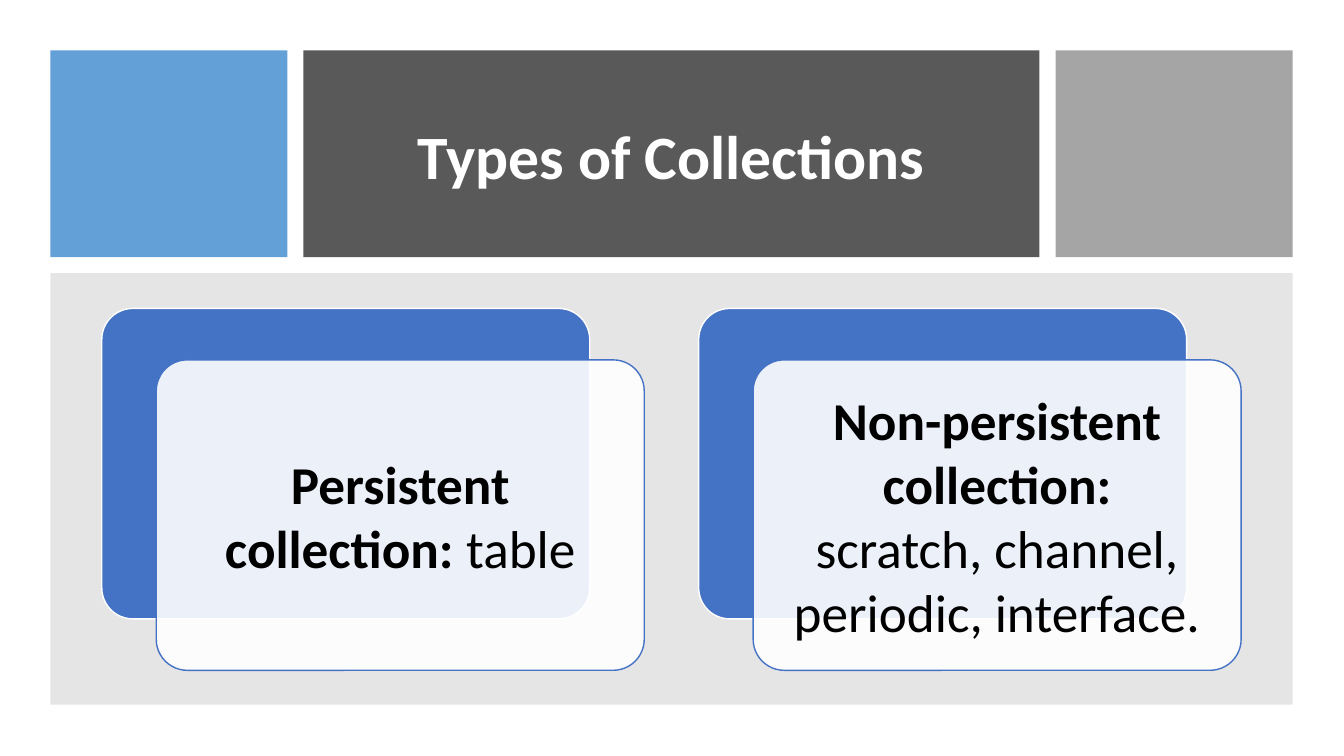
from lxml.etree import SubElement
from pptx import Presentation
from pptx.dml.color import RGBColor
from pptx.enum.shapes import MSO_SHAPE
from pptx.enum.text import MSO_ANCHOR, MSO_AUTO_SIZE, PP_ALIGN
from pptx.oxml.ns import qn
from pptx.util import Pt

EMU_PER_PX = 9144
NO_BREAK_SPACE = chr(160)


def px(length):
    """Turn whole pixels, 100 to the inch, into EMU."""
    return length * EMU_PER_PX


def paint(color_format, color):
    """Give a colour format an RGB hex colour."""
    color_format.rgb = RGBColor.from_string(color)


def add_box(slide, left, top, width, height, fill, opacity=100, line=None, rounded=False):
    """Add a rectangle with optional transparency, outline and round corners."""
    kind = MSO_SHAPE.ROUNDED_RECTANGLE if rounded else MSO_SHAPE.RECTANGLE
    shape = slide.shapes.add_shape(kind, px(left), px(top), px(width), px(height))
    shape.shadow.inherit = False
    if rounded:
        shape.adjustments[0] = 0.1
    shape.fill.solid()
    paint(shape.fill.fore_color, fill)
    if opacity < 100:
        color = shape.element.spPr.find(qn("a:solidFill"))[0]
        SubElement(color, qn("a:alpha")).set("val", str(opacity * 1000))
    if line:
        paint(shape.line.color, line)
        shape.line.width = Pt(1)
    else:
        shape.line.fill.background()
    return shape


def add_run(paragraph, text, size=38, color="000000", bold=False):
    """Add formatted text to a paragraph."""
    run = paragraph.add_run()
    run.text = text
    run.font.name = "Calibri"
    run.font.size = Pt(size)
    run.font.bold = bold
    paint(run.font.color, color)


def prepare_frame(frame, inset):
    """Set up a wrapped, centred text frame and return its first paragraph."""
    frame.word_wrap = True
    frame.auto_size = MSO_AUTO_SIZE.NONE
    frame.vertical_anchor = MSO_ANCHOR.MIDDLE
    frame.margin_left = frame.margin_right = px(inset)
    frame.margin_top = frame.margin_bottom = px(inset)
    paragraph = frame.paragraphs[0]
    paragraph.alignment = PP_ALIGN.CENTER
    return paragraph


def place_title(slide, text):
    """Move the title placeholder over its panel and fill it in."""
    title = slide.shapes.title
    title.left, title.top, title.width, title.height = map(px, (333, 80, 666, 156))
    paragraph = prepare_frame(title.text_frame, inset=5)
    paragraph.line_spacing = 0.9
    add_run(paragraph, text, size=44, color="FFFFFF", bold=True)
    title.element.getparent().append(title.element)


def add_card(slide, left, heading, detail):
    """Add a blue card with an offset translucent card that holds text."""
    add_box(slide, left, 306, 484, 308, "4472C4", line="FFFFFF", rounded=True)
    add_box(slide, left + 54, 357, 484, 308, "FFFFFF", opacity=90, line="4472C4", rounded=True)
    label = slide.shapes.add_textbox(px(left + 63), px(366), px(466), px(290))
    paragraph = prepare_frame(label.text_frame, inset=16)
    add_run(paragraph, heading, bold=True)
    add_run(paragraph, detail)


def main():
    """Build the slide and save it."""
    presentation = Presentation()
    presentation.slide_width, presentation.slide_height = px(1333), px(750)
    slide = presentation.slides.add_slide(presentation.slide_layouts[5])
    add_box(slide, 50, 50, 235, 205, "5B9BD5", opacity=95)
    add_box(slide, 301, 50, 730, 205, "595959")
    add_box(slide, 1047, 50, 235, 205, "A5A5A5")
    add_box(slide, 50, 271, 1232, 428, "808080", opacity=20)
    place_title(slide, "Types of Collections")
    cards = [
        ("Persistent collection: ", "table"),
        ("Non-persistent collection: ", f"scratch,{NO_BREAK_SPACE}channel, periodic, interface."),
    ]
    for index, (heading, detail) in enumerate(cards):
        add_card(slide, 101 + index * 592, heading, detail)
    presentation.save("out.pptx")


if __name__ == "__main__":
    main()
